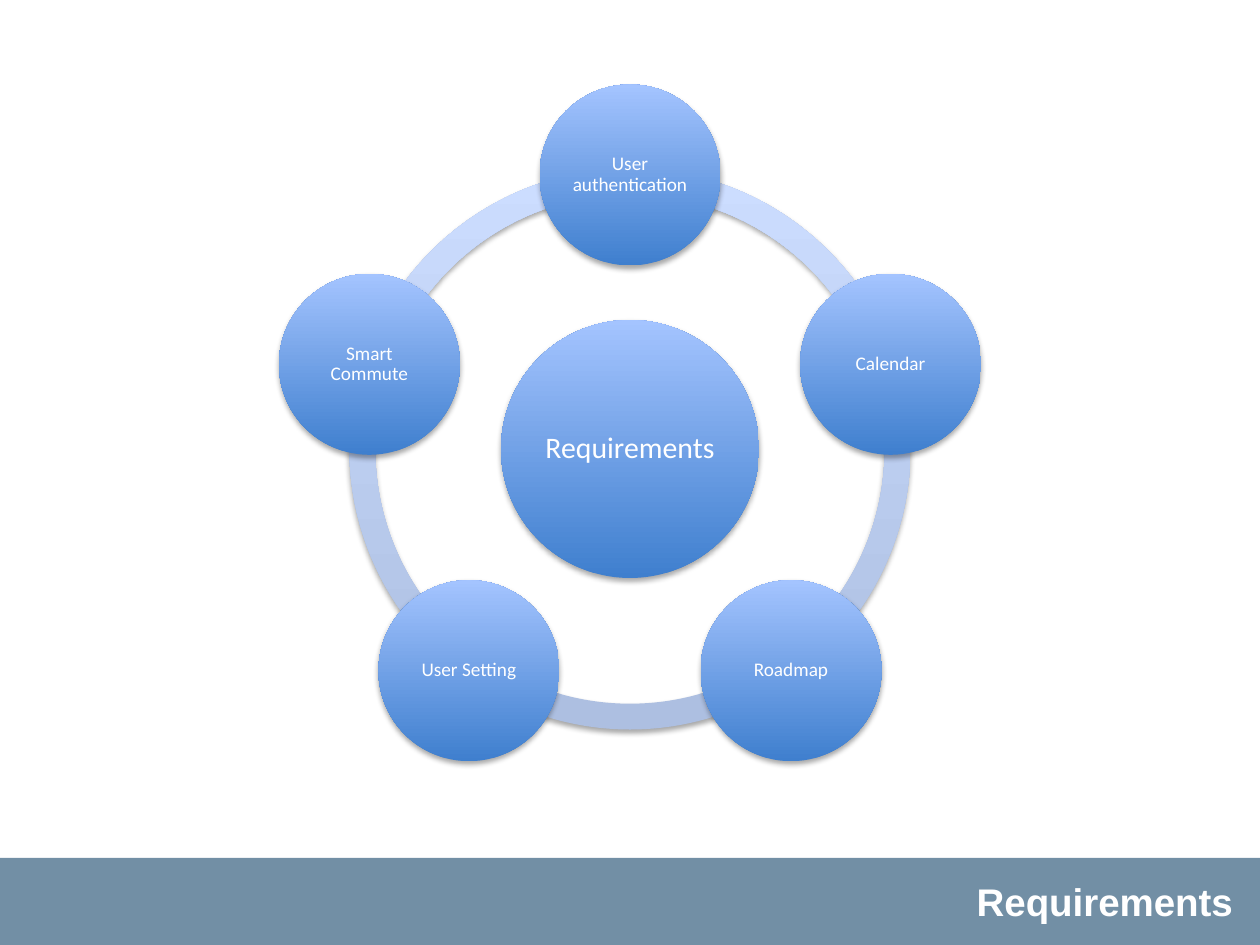
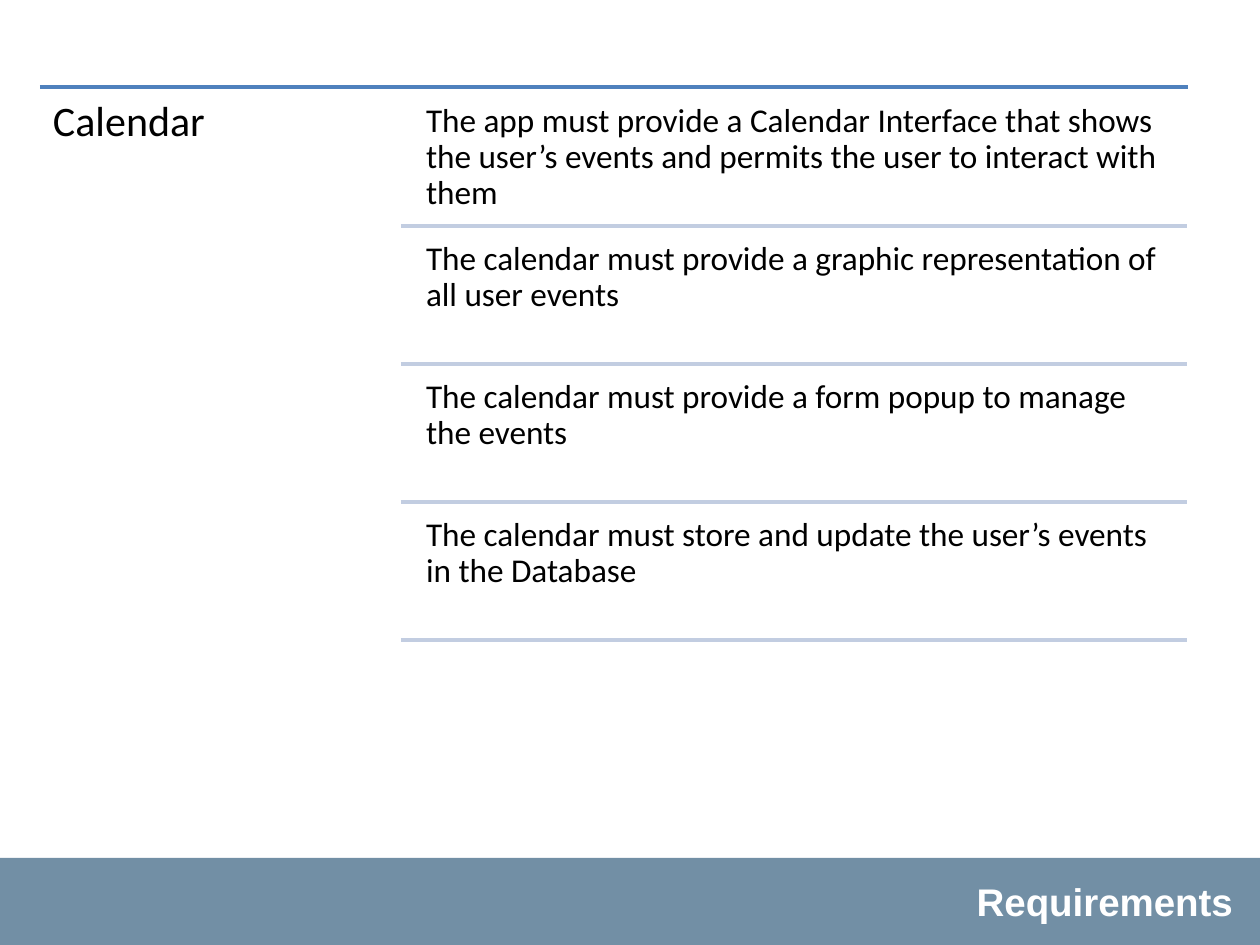
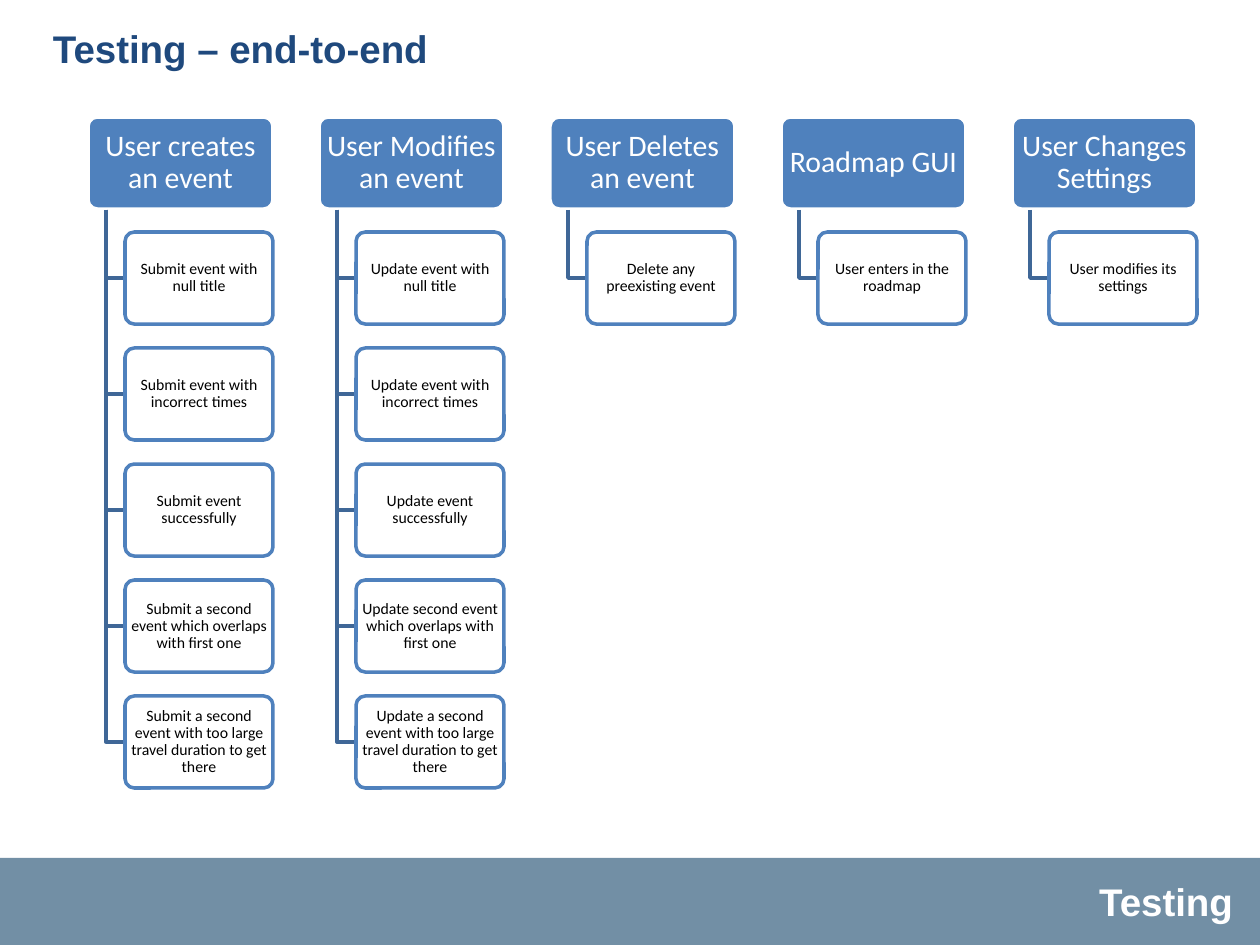
from math import cos, radians, sin

from lxml.etree import SubElement
from pptx import Presentation
from pptx.dml.color import RGBColor
from pptx.enum.shapes import MSO_CONNECTOR, MSO_SHAPE
from pptx.enum.text import MSO_ANCHOR, MSO_AUTO_SIZE, PP_ALIGN
from pptx.oxml.ns import qn
from pptx.util import Emu, Pt

WHITE = RGBColor(0xFF, 0xFF, 0xFF)
BLACK = RGBColor(0x00, 0x00, 0x00)
NAVY = RGBColor(0x1F, 0x49, 0x7D)
SLATE = RGBColor(0x72, 0x8F, 0xA5)
BLUE = RGBColor(0x4F, 0x81, 0xBD)
STEEL = RGBColor(0x3F, 0x67, 0x97)
PALE = RGBColor(0xC2, 0xCD, 0xE1)
DISC = (RGBColor(0x3F, 0x7F, 0xCE), RGBColor(0xA4, 0xC4, 0xFF))
RING = (RGBColor(0xAD, 0xBF, 0xE1), RGBColor(0xCC, 0xDD, 0xFF))

WIDE, HIGH = 1260, 945
HEAD = (40, 19, 1182, 116)
FOOT = (40, 872, 1206, 62)

NEEDS = ["User authentication", "Calendar", "Roadmap", "User Setting", "Smart Commute"]
RULES = [
    "The app must provide a Calendar Interface that shows the user’s events "
    "and permits the user to interact with them",
    "The calendar must provide a graphic representation of all user events",
    "The calendar must provide a form popup to manage the events",
    "The calendar must store and update the user’s events in the Database",
]
TESTS = {
    "User creates an event": [
        "Submit event with null title",
        "Submit event with incorrect times",
        "Submit event successfully",
        "Submit a second event which overlaps with first one",
        "Submit a second event with too large travel duration to get there",
    ],
    "User Modifies an event": [
        "Update event with null title",
        "Update event with incorrect times",
        "Update event successfully",
        "Update second event which overlaps with first one",
        "Update a second event with too large travel duration to get there",
    ],
    "User Deletes an event": ["Delete any preexisting event"],
    "Roadmap GUI": ["User enters in the roadmap"],
    "User Changes Settings": ["User modifies its settings"],
}


def px(*nums):
    return [Emu(round(n * 914400 / 126)) for n in nums]


class Deck:
    def __init__(self):
        self.prs = Presentation()
        self.prs.slide_width, self.prs.slide_height = px(WIDE, HIGH)
        self.layout = self.prs.slide_layouts[5]
        self.slide = None

    def start(self):
        self.slide = self.prs.slides.add_slide(self.layout)

    def band(self):
        """Draw the bottom band and move it to the layout all slides share."""
        band = self.shape(MSO_SHAPE.RECTANGLE, (0, 858, WIDE, HIGH - 858), SLATE)
        band.element.nvSpPr.cNvPr.id = 20
        self.layout.shapes.element.insert(2, band.element)

    def fit(self, shape, words, size, color, pads, font="Calibri", bold=False,
            align=PP_ALIGN.CENTER, anchor=MSO_ANCHOR.MIDDLE, lead=0.9):
        """Put styled words into a shape."""
        frame = shape.text_frame
        frame.text = words
        frame.word_wrap = True
        frame.auto_size = MSO_AUTO_SIZE.NONE
        frame.vertical_anchor = anchor
        side, top = px(*pads)
        frame.margin_left = frame.margin_right = side
        frame.margin_top = frame.margin_bottom = top
        para = frame.paragraphs[0]
        para.alignment, para.line_spacing = align, lead
        para.font.name, para.font.size, para.font.bold = font, Pt(size), bold
        para.font.color.rgb = color

    def label(self, shape, words, color, align):
        """Give a heading or footer its shared look."""
        self.fit(shape, words, 22, color, (13, 6), "Arial", True, align,
                 MSO_ANCHOR.TOP, 1.0)

    def title(self, words, box, color, align):
        shape = self.slide.shapes.title
        shape.left, shape.top, shape.width, shape.height = px(*box)
        self.label(shape, words, color, align)

    def text(self, words, box, size, pad):
        shape = self.slide.shapes.add_textbox(*px(*box))
        self.fit(shape, words, size, BLACK, (pad, pad), align=PP_ALIGN.LEFT,
                 anchor=MSO_ANCHOR.TOP)

    def footer(self, words):
        shape = self.slide.shapes.add_textbox(*px(*FOOT))
        self.label(shape, words, WHITE, PP_ALIGN.RIGHT)

    def shape(self, kind, box, fill, line=None):
        shape = self.slide.shapes.add_shape(kind, *px(*box))
        shape.shadow.inherit = False
        shape.fill.solid()
        shape.fill.fore_color.rgb = fill
        if line is None:
            shape.line.fill.background()
        else:
            shape.line.color.rgb, shape.line.width = line, Pt(2)
        return shape

    def glossy(self, kind, mid, size, tones):
        """Add a centred shape with an upward gradient and a soft shadow."""
        x, y = mid
        shape = self.shape(kind, (x - size / 2, y - size / 2, size, size), tones[0])
        shape.fill.gradient()
        shape.fill.gradient_angle = 90
        for stop, tone in zip(shape.fill.gradient_stops, tones):
            stop.color.rgb = tone
        effects = shape.element.spPr.find(qn("a:effectLst"))
        shade = SubElement(effects, qn("a:outerShdw"), blurRad="40000",
                           dist="23000", dir="5400000", rotWithShape="0")
        color = SubElement(shade, qn("a:srgbClr"), val="000000")
        SubElement(color, qn("a:alpha"), val="35000")
        return shape

    def disc(self, words, mid, size, points):
        shape = self.glossy(MSO_SHAPE.OVAL, mid, size, DISC)
        self.fit(shape, words, points, WHITE, (3, 3))

    def arc(self, mid, size, begin, end):
        shape = self.glossy(MSO_SHAPE.BLOCK_ARC, mid, size, RING)
        # Angles are stored in 60000ths of a degree, adjustments in 100000ths
        for i, value in enumerate((begin % 360 * 0.6, end % 360 * 0.6, 0.046)):
            shape.adjustments[i] = value

    def card(self, words, box, fill, line, size, color, pads):
        shape = self.shape(MSO_SHAPE.ROUNDED_RECTANGLE, box, fill, line)
        shape.adjustments[0] = 0.1
        self.fit(shape, words, size, color, pads)

    def rule(self, left, right, y, color):
        line = self.slide.shapes.add_connector(
            MSO_CONNECTOR.STRAIGHT, *px(left, y, right, y))
        line.line.color.rgb, line.line.width = color, Pt(2)
        SubElement(line.element.spPr, qn("a:effectLst"))

    def elbow(self, x, y, right, low):
        """Draw a line down from (x, y) to low, then across to right."""
        pen = self.slide.shapes.build_freeform(*px(x, y))
        pen.add_line_segments([px(x, low), px(right, low)], close=False)
        shape = pen.convert_to_shape()
        shape.shadow.inherit = False
        shape.fill.background()
        shape.line.color.rgb, shape.line.width = STEEL, Pt(2)


def needs(deck):
    deck.title("Requirements", FOOT, WHITE, PP_ALIGN.RIGHT)
    hub, reach = (630, 449), 274
    step = 360 / len(NEEDS)
    turns = [270 + step * i for i in range(len(NEEDS))]
    for turn in turns:
        deck.arc(hub, 561, turn, turn + step)
    deck.disc("Requirements", hub, 258, 17)
    for words, turn in zip(NEEDS, turns):
        mid = (hub[0] + reach * cos(radians(turn)),
               hub[1] + reach * sin(radians(turn)))
        deck.disc(words, mid, 181, 11)


def rules(deck):
    deck.title("Requirements", FOOT, WHITE, PP_ALIGN.RIGHT)
    deck.rule(40, 1188, 87, BLUE)
    deck.text("Calendar", (40, 87, 360, 559), 24, 13)
    pitch = 138
    for i, words in enumerate(RULES):
        top = 94 + pitch * i
        deck.text(words, (416, top, 772, 131), 19, 10)
        deck.rule(401, 1187, top + 132, PALE)


def tests(deck):
    deck.title("Testing – end-to-end", HEAD, NAVY, PP_ALIGN.LEFT)
    deck.footer("Testing")
    tall = 92
    for col, (head, cases) in enumerate(TESTS.items()):
        x = 88 + 231 * col
        deck.card(head, (x, 117, 185, tall), BLUE, WHITE, 17, WHITE, (3, 3))
        for row, words in enumerate(cases):
            y = 232 + 116 * row
            deck.elbow(x + 18, 210, x + 37, y + tall / 2)
            deck.card(words, (x + 37, y, 148, tall), WHITE, BLUE, 9, BLACK, (2, 1))


def main():
    deck = Deck()
    for i, build in enumerate((needs, rules, tests)):
        deck.start()
        if i == 0:
            deck.band()
        build(deck)
    deck.prs.save("out.pptx")


if __name__ == "__main__":
    main()
